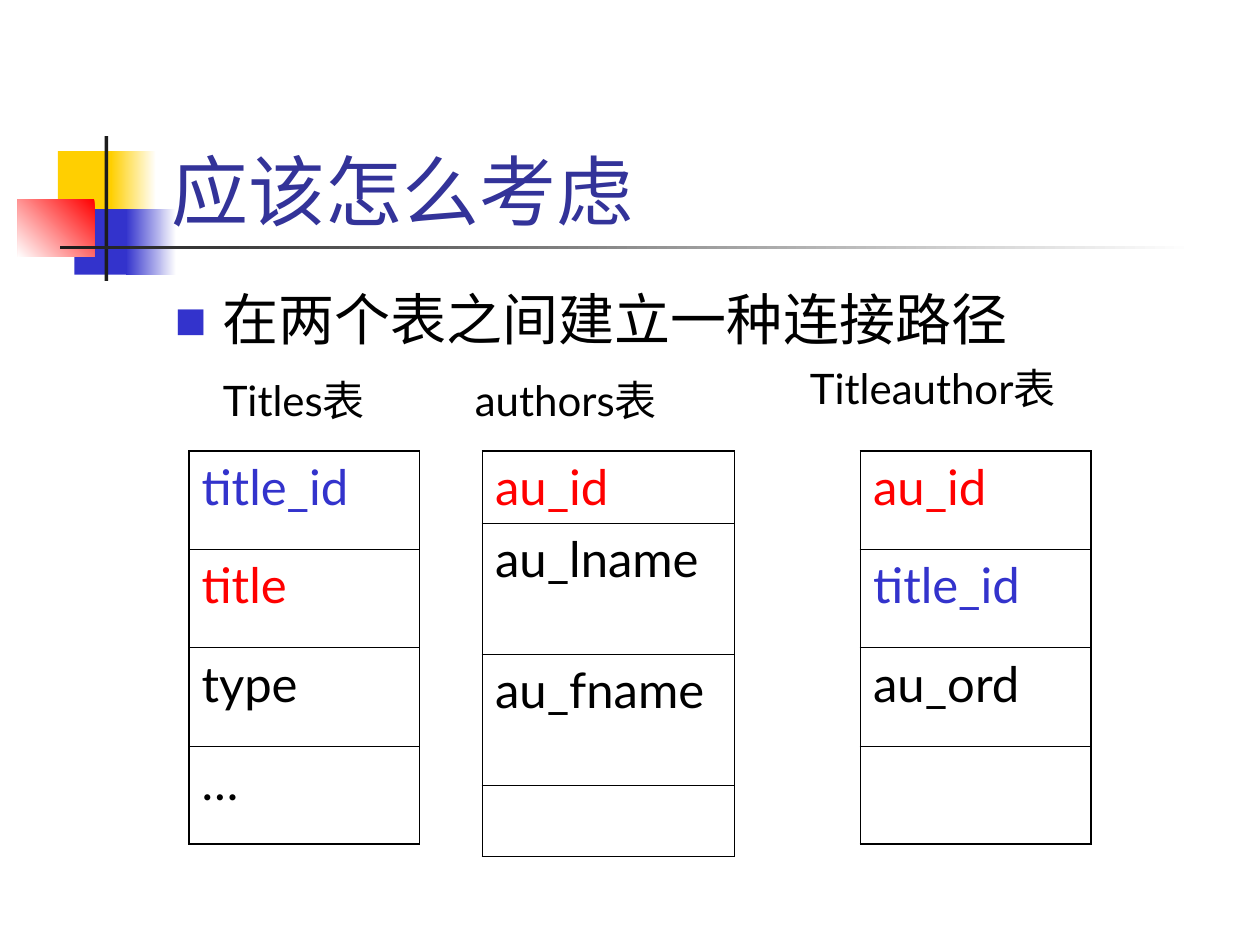
"""Builds the slide on joining two tables through a linking table."""
import lxml.etree
import pptx
import pptx.dml.color
import pptx.enum.shapes
import pptx.enum.text
import pptx.oxml.ns
import pptx.util

Inches, Pt = pptx.util.Inches, pptx.util.Pt
qn = pptx.oxml.ns.qn

COLORS = {
    "white": "FFFFFF", "black": "000000", "yellow": "FFCF01", "blue": "3333CC",
    "red": "FF0000", "ink": "1C1C1C", "title": "333399",
}
FONT = "Lato"
TITLE = "应该怎么考虑"
POINT = "在两个表之间建立一种连接路径"

# (left, top, width, height), colours from start to end, clockwise angle
ORNAMENTS = [
    ((0.46, 1.2, 0.48, 0.52), ["yellow"], 0),
    ((0.88, 1.2, 0.36, 0.52), ["white", "yellow"], 180),
    ((0.59, 1.66, 0.46, 0.52), ["blue"], 0),
    ((1, 1.66, 0.4, 0.52), ["white", "blue"], 180),
    ((0.14, 1.58, 0.61, 0.46), ["red", "white"], 135),
    ((0.83, 1.08, 0.03, 1.15), ["ink"], 0),
    ((0.48, 1.95, 9, 0.03), ["white", "ink"], 180),
]
TABLES = [
    {"caption": "Titles表", "caption_box": (1.67, 2.92, 1.5, 0.5),
     "left": 1.5, "width": 1.83, "rows": [0.78] * 4,
     "fields": [("title_id", "blue"), ("title", "red"), ("type", "black"), ("…", "black")]},
    {"caption": "authors表", "caption_box": (3.67, 2.92, 1.92, 0.5),
     "left": 3.83, "width": 2, "rows": [0.57, 1.04, 1.04, 0.57],
     "fields": [("au_id", "red"), ("au_lname", "black"), ("au_fname", "black"), ("", "black")]},
    {"caption": "Titleauthor表", "caption_box": (6.33, 2.83, 2.67, 0.5),
     "left": 6.83, "width": 1.83, "rows": [0.78] * 4,
     "fields": [("au_id", "red"), ("title_id", "blue"), ("au_ord", "black"), ("", "black")]},
]
TABLE_TOP = 3.58
OUTER, INNER = 1.08, 0.45


def rgb(name):
    return pptx.dml.color.RGBColor.from_string(COLORS[name])


def add_ornament(slide, box, colors, angle):
    block = slide.shapes.add_shape(
        pptx.enum.shapes.MSO_SHAPE.RECTANGLE, *map(Inches, box))
    block.shadow.inherit = False
    block.line.fill.background()
    if len(colors) == 1:
        block.fill.solid()
        block.fill.fore_color.rgb = rgb(colors[0])
        return
    block.fill.gradient()
    block.fill.gradient_angle = 360 - angle
    for stop, color in zip(block.fill.gradient_stops, colors):
        stop.color.rgb = rgb(color)


def write(paragraph, words, size, color):
    run = paragraph.add_run()
    run.text = words
    run.font.name = FONT
    run.font.size = Pt(size)
    run.font.color.rgb = rgb(color)


def add_text(slide, box, words, size, color, anchor="TOP"):
    frame = slide.shapes.add_textbox(*map(Inches, box)).text_frame
    frame.word_wrap = True
    frame.vertical_anchor = pptx.enum.text.MSO_ANCHOR[anchor]
    write(frame.paragraphs[0], words, size, color)
    return frame.paragraphs[0]


def add_bullet(paragraph):
    paragraph.space_before = Pt(8)
    props = paragraph._p.get_or_add_pPr()
    props.set("marL", str(Inches(0.38)))
    props.set("indent", str(-Inches(0.38)))
    color = lxml.etree.SubElement(props, qn("a:buClr"))
    lxml.etree.SubElement(color, qn("a:srgbClr"), val=COLORS["blue"])
    lxml.etree.SubElement(props, qn("a:buSzPct"), val="60000")
    lxml.etree.SubElement(props, qn("a:buFont"), typeface=FONT)
    lxml.etree.SubElement(props, qn("a:buChar"), char="■")


def set_borders(cell, widths):
    props = cell._tc.get_or_add_tcPr()
    for place, (side, width) in enumerate(widths.items()):
        border = lxml.etree.Element(qn(f"a:ln{side}"), w=str(Pt(width)))
        fill = lxml.etree.SubElement(border, qn("a:solidFill"))
        lxml.etree.SubElement(fill, qn("a:srgbClr"), val=COLORS["black"])
        props.insert(place, border)


def add_field_table(slide, spec_left, width, rows, fields):
    table = slide.shapes.add_table(
        len(rows), 1, Inches(spec_left), Inches(TABLE_TOP),
        Inches(width), Inches(sum(rows))).table
    table.first_row = table.horz_banding = False
    last = len(rows) - 1
    for index, (height, (field, color)) in enumerate(zip(rows, fields)):
        table.rows[index].height = Inches(height)
        cell = table.cell(index, 0)
        cell.fill.background()
        set_borders(cell, {
            "L": OUTER, "R": OUTER,
            "T": OUTER if index == 0 else INNER,
            "B": OUTER if index == last else INNER,
        })
        if field:
            paragraph = cell.text_frame.paragraphs[0]
            paragraph.space_before = Pt(7)
            write(paragraph, field, 28, color)


def main():
    deck = pptx.Presentation()
    deck.slide_width, deck.slide_height = Inches(10), Inches(7.5)
    slide = deck.slides.add_slide(deck.slide_layouts[6])
    for box, colors, angle in ORNAMENTS:
        add_ornament(slide, box, colors, angle)
    add_text(slide, (1.26, 0.67, 8.52, 1.25), TITLE, 44, "title", "BOTTOM")
    add_bullet(add_text(slide, (1.29, 2.21, 8.5, 0.96), POINT, 32, "black"))
    for entry in TABLES:
        add_field_table(slide, entry["left"], entry["width"], entry["rows"], entry["fields"])
    for entry in TABLES:
        add_text(slide, entry["caption_box"], entry["caption"], 24, "black")
    deck.save("out.pptx")


if __name__ == "__main__":
    main()
